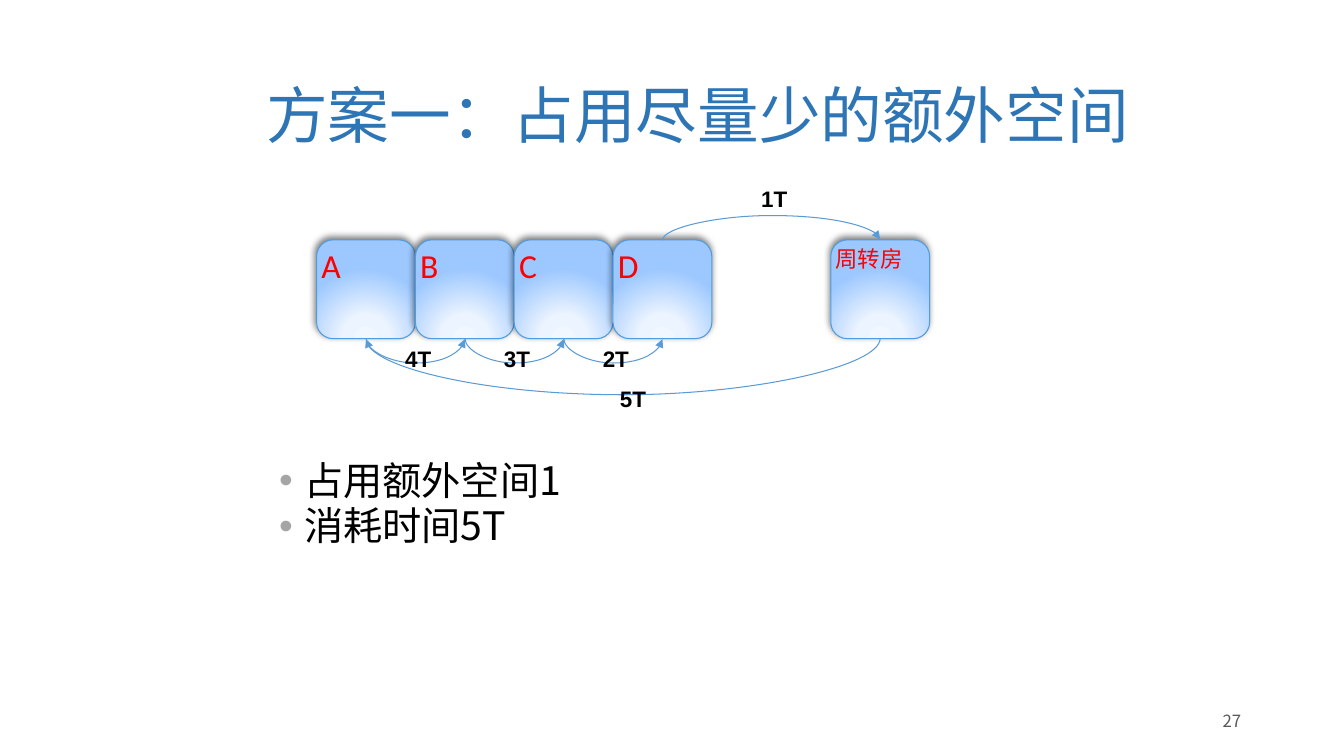
from lxml import etree
from pptx import Presentation
from pptx.dml.color import RGBColor
from pptx.enum.shapes import MSO_CONNECTOR, MSO_SHAPE
from pptx.enum.text import MSO_ANCHOR, PP_ALIGN
from pptx.oxml import parse_xml
from pptx.oxml.ns import nsdecls, qn
from pptx.util import Inches, Pt

COLORS = {"title": "2E75B6", "text": "000000", "bullet": "A5A5A5", "room": "FF0000",
          "outline": "4F9CE1", "arrow": "5B9BD5", "number": "595959"}
CJK = "Noto Sans CJK SC"

ROOM_FILL = f"""<a:gradFill {nsdecls('a')} rotWithShape="1"><a:gsLst>
<a:gs pos="0"><a:srgbClr val="F1F7FF"/></a:gs>
<a:gs pos="34000"><a:srgbClr val="ECF4FF"/></a:gs>
<a:gs pos="100000"><a:srgbClr val="9DC8FF"/></a:gs></a:gsLst>
<a:path path="circle"><a:fillToRect l="50000" t="155000" r="50000" b="-55000"/></a:path>
</a:gradFill>"""
ROOM_SHADOW = f"""<a:effectLst {nsdecls('a')}>
<a:outerShdw blurRad="63500" dist="25400" dir="14700000" algn="ctr" rotWithShape="0">
<a:srgbClr val="000000"><a:alpha val="50000"/></a:srgbClr></a:outerShdw></a:effectLst>"""


def style(paragraph, size, font, color, bold=False):
    for run in paragraph.runs:
        run.font.size = Pt(size)
        run.font.name = font
        run.font.bold = bold
        run.font.color.rgb = RGBColor.from_string(COLORS[color])
        east_asian = parse_xml(f'<a:ea {nsdecls("a")} typeface="{CJK}"/>')
        run.font._element.find(qn("a:latin")).addnext(east_asian)


def add_text(left, top, width, height, text):
    box = slide.shapes.add_textbox(Inches(left), Inches(top), Inches(width), Inches(height))
    box.text_frame.word_wrap = True
    box.text_frame.text = text
    return box.text_frame


prs = Presentation()
prs.slide_width, prs.slide_height = Inches(13.33), Inches(7.5)
slide = prs.slides.add_slide(prs.slide_layouts[5])

# Title
title = slide.shapes.title
title.left, title.top = Inches(2.54), Inches(0.4)
title.width, title.height = Inches(9.88), Inches(1.45)
title.text_frame.text = "方案一：占用尽量少的额外空间"
title.text_frame.vertical_anchor = MSO_ANCHOR.MIDDLE
title.text_frame.paragraphs[0].alignment = PP_ALIGN.LEFT
style(title.text_frame.paragraphs[0], 44, CJK, "title")

# Costs
costs = add_text(2.67, 4.53, 8.06, 2.13, "占用额外空间1\n消耗时间5T")
for index, cost in enumerate(costs.paragraphs):
    props = cost._p.get_or_add_pPr()
    props.set("marL", str(Inches(0.25)))
    props.set("indent", str(-Inches(0.25)))
    bullet_color = etree.SubElement(props, qn("a:buClr"))
    etree.SubElement(bullet_color, qn("a:srgbClr"), val=COLORS["bullet"])
    etree.SubElement(props, qn("a:buFont"), typeface="Arial")
    etree.SubElement(props, qn("a:buChar"), char="•")
    cost.line_spacing = 0.9
    if index:
        cost.space_before = Pt(2)
    style(cost, 28, CJK, "text")

# Rooms
SIDE, ROOM_TOP = 0.98, 2.38
ROOM_BOTTOM = ROOM_TOP + SIDE
room_lefts = {name: 3.14 + SIDE * i for i, name in enumerate("ABCD")}
room_lefts["周转房"] = 8.24
rooms = {}
for name, left in room_lefts.items():
    room = slide.shapes.add_shape(MSO_SHAPE.ROUNDED_RECTANGLE, Inches(left), Inches(ROOM_TOP),
                                  Inches(SIDE), Inches(SIDE))
    room.line.color.rgb = RGBColor.from_string(COLORS["outline"])
    room.line.width = Pt(0.75)
    outline = room._element.spPr.find(qn("a:ln"))
    outline.addprevious(parse_xml(ROOM_FILL))
    outline.addnext(parse_xml(ROOM_SHADOW))
    frame = room.text_frame
    frame.margin_left = frame.margin_top = frame.margin_bottom = 0
    frame.margin_right = Inches(0.2)
    frame.word_wrap = True
    frame.vertical_anchor = MSO_ANCHOR.TOP
    frame.text = name
    frame.paragraphs[0].alignment = PP_ALIGN.LEFT
    style(frame.paragraphs[0], 24 if len(name) == 1 else 16, "Calibri", "room")
    rooms[name] = room

# Moves: source, target, connection site, edge, depth, turn, flips
TOP_SITE, BOTTOM_SITE, THIN = 0, 2, 0.01
moves = [
    ("D", "周转房", TOP_SITE, ROOM_TOP, 0.25, 90, ("flipH", "flipV")),
    ("C", "D", BOTTOM_SITE, ROOM_BOTTOM, 0.25, 270, ("flipH",)),
    ("B", "C", BOTTOM_SITE, ROOM_BOTTOM, 0.25, 270, ("flipH",)),
    ("A", "B", BOTTOM_SITE, ROOM_BOTTOM, 0.25, 270, ("flipH",)),
    ("周转房", "A", BOTTOM_SITE, ROOM_BOTTOM, 0.57, 90, ()),
]
for source, target, site, edge, depth, turn, flips in moves:
    start, end = (room_lefts[name] + SIDE / 2 for name in (source, target))
    span = abs(end - start)
    move = slide.shapes.add_connector(MSO_CONNECTOR.CURVE, Inches(start), Inches(edge),
                                      Inches(end), Inches(edge))
    move.begin_connect(rooms[source], site)
    move.end_connect(rooms[target], site)
    move.left, move.top = Inches((start + end - THIN) / 2), Inches(edge - span / 2)
    move.width, move.height = Inches(THIN), Inches(span)
    props = move._element.spPr
    frame = props.find(qn("a:xfrm"))
    for flip in ("flipH", "flipV"):
        frame.set(flip, "1" if flip in flips else "0")
    frame.set("rot", str(turn * 60000))
    guides = props.find(qn("a:prstGeom")).find(qn("a:avLst"))
    etree.SubElement(guides, qn("a:gd"), name="adj1", fmla=f"val {round(depth / THIN * 100000)}")
    move.line.color.rgb = RGBColor.from_string(COLORS["arrow"])
    move.line.width = Pt(0.75)
    etree.SubElement(props.find(qn("a:ln")), qn("a:tailEnd"), type="triangle")
    etree.SubElement(props, qn("a:effectLst"))

# Move times
times = [("1T", 7.45, 1.79), ("2T", 5.88, 3.38), ("3T", 4.9, 3.38), ("4T", 3.92, 3.38),
         ("5T", 6.05, 3.77)]
for time, left, top in times:
    label = add_text(left, top, 0.59, 0.37, time)
    style(label.paragraphs[0], 16, "Arial", "text", bold=True)

# Slide number
number = add_text(8.83, 6.95, 3.58, 0.4, "27")
number.vertical_anchor = MSO_ANCHOR.MIDDLE
number.paragraphs[0].alignment = PP_ALIGN.RIGHT
style(number.paragraphs[0], 12, CJK, "number")

prs.save("out.pptx")
